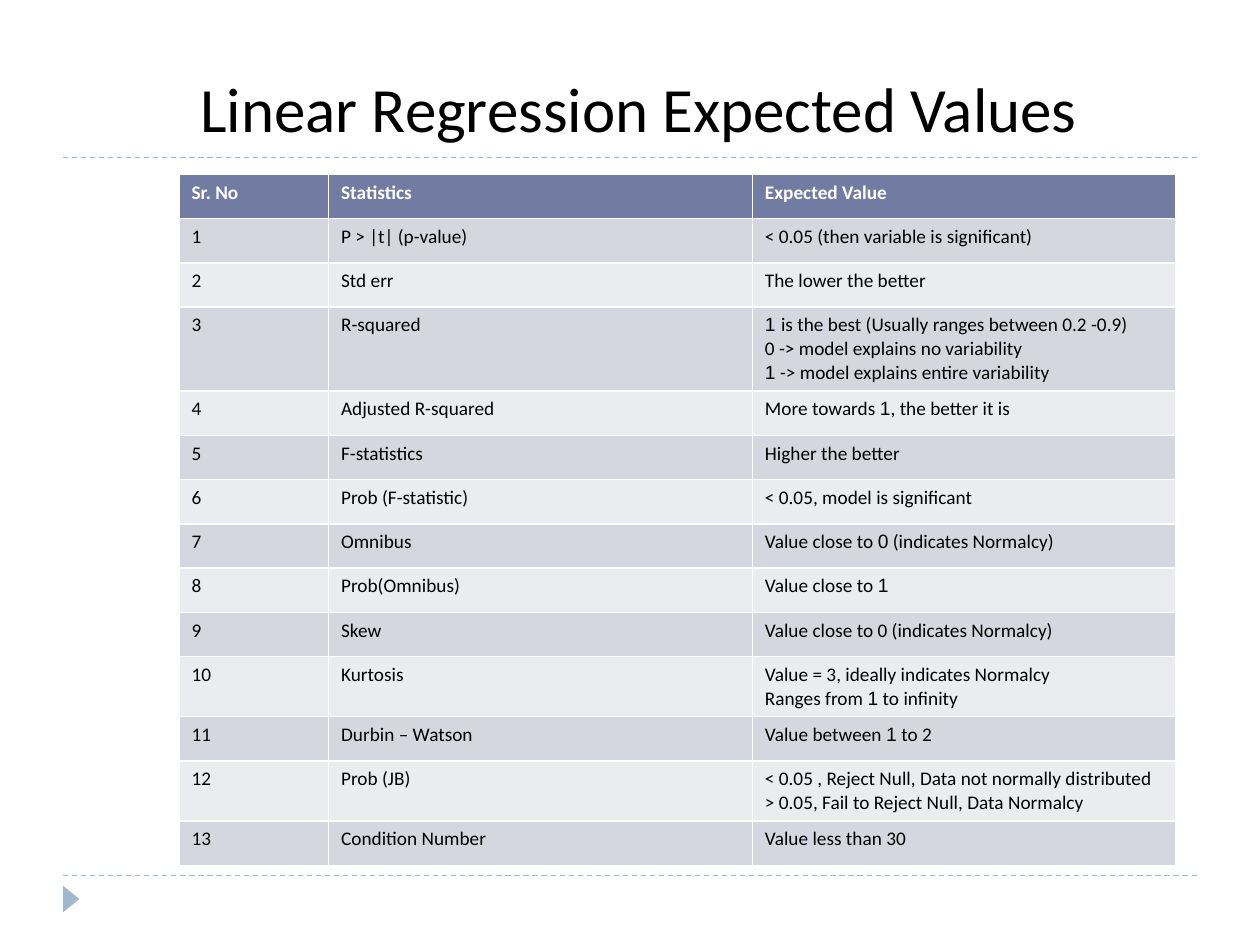
from lxml.etree import SubElement
from pptx import Presentation
from pptx.dml.color import RGBColor
from pptx.enum.dml import MSO_LINE
from pptx.enum.shapes import MSO_CONNECTOR, MSO_SHAPE
from pptx.enum.text import MSO_ANCHOR, PP_ALIGN
from pptx.oxml.ns import qn
from pptx.util import Inches, Pt

COLORS = {"rule": "9FB8CD", "header": "727CA3", "odd": "D5D7E0",
          "even": "EBECF0", "text": "000000", "light": "FFFFFF"}
WIDTH, HEIGHT = Inches(10), Inches(7.5)
ARIAL_MARK = "~"
HEADER = ("Sr. No", "Statistics", "Expected Value")
STATISTICS = [
    ("P > |t| (p-value)", ["< 0.05 (then variable is significant)"]),
    ("Std err", ["The lower the better"]),
    ("R-squared", ["~1 ~is the best (Usually ranges between 0.2 -0.9)",
                   "0 -> model explains no variability",
                   "~1~ -> model explains entire variability"]),
    ("Adjusted R-squared", ["More towards ~1~, the better it is"]),
    ("F-statistics", ["Higher the better"]),
    ("Prob (F-statistic)", ["< 0.05, model is significant"]),
    ("Omnibus", ["Value close to ~0~ (indicates Normalcy)"]),
    ("Prob(Omnibus)", ["Value close to ~1~"]),
    ("Skew", ["Value close to 0 (indicates Normalcy)"]),
    ("Kurtosis", ["Value = 3, ideally indicates Normalcy",
                  "Ranges from ~1~ to infinity"]),
    ("Durbin – Watson", ["Value between ~1~ to 2"]),
    ("Prob (JB)", ["< 0.05 , Reject Null, Data not normally distributed",
                   "> 0.05, Fail to Reject Null, Data Normalcy"]),
    ("Condition Number", ["Value less than 30"]),
]


def color(name):
    return RGBColor.from_string(COLORS[name])


def percent_box(left, top, width, height):
    return (int(WIDTH * left / 100), int(HEIGHT * top / 100),
            int(WIDTH * width / 100), int(HEIGHT * height / 100))


def add_run(p, text, size, color_name, font="Calibri", bold=False):
    r = p.add_run()
    r.text = text
    r.font.name, r.font.size, r.font.bold = font, Pt(size), bold
    r.font.color.rgb = color(color_name)


def add_rules(s, box):
    left, top, width, height = box
    for y in (top, top + height):
        rule = s.shapes.add_connector(MSO_CONNECTOR.STRAIGHT, left, y, left + width, y)
        rule.line.color.rgb = color("rule")
        rule.line.width = Pt(0.75)
        rule.line.dash_style = MSO_LINE.DASH
        SubElement(rule._element.spPr, qn("a:effectLst"))


def add_marker(s, box):
    sp = s.shapes.add_shape(MSO_SHAPE.ISOSCELES_TRIANGLE, *box)
    sp.rotation = 90
    sp.shadow.inherit = False
    sp.fill.solid()
    sp.fill.fore_color.rgb = color("rule")
    sp.line.fill.background()


def add_title(s, box, text):
    title = s.shapes.title
    title.left, title.top, title.width, title.height = box
    tf = title.text_frame
    tf.word_wrap = False
    tf.vertical_anchor = MSO_ANCHOR.MIDDLE
    p = tf.paragraphs[0]
    p.alignment = PP_ALIGN.CENTER
    add_run(p, text, 36, "text")


def fill_cell(cell, lines, fill, color_name, bold):
    cell.fill.solid()
    cell.fill.fore_color.rgb = color(fill)
    tf = cell.text_frame
    for i, line in enumerate(lines):
        p = tf.add_paragraph() if i else tf.paragraphs[0]
        for j, part in enumerate(line.split(ARIAL_MARK)):
            if part:
                add_run(p, part, 11, color_name, "Arial" if j % 2 else "Calibri", bold)


def add_statistics_table(s, box):
    rows = [[[name] for name in HEADER]]
    rows += [[[str(n)], [name], expected]
             for n, (name, expected) in enumerate(STATISTICS, 1)]
    table = s.shapes.add_table(len(rows), len(HEADER), *box).table
    for column, share in zip(table.columns, (0.15, 0.425, 0.425)):
        column.width = int(box[2] * share)
    for i, row in enumerate(rows):
        table.rows[i].height = box[3] // len(rows)
        fill = "header" if i == 0 else "odd" if i % 2 else "even"
        for j, lines in enumerate(row):
            fill_cell(table.cell(i, j), lines, fill, "text" if i else "light", i == 0)


def main():
    prs = Presentation()
    prs.slide_width, prs.slide_height = WIDTH, HEIGHT
    s = prs.slides.add_slide(prs.slide_layouts[5])
    add_rules(s, percent_box(5, 16.67, 90, 76))
    add_marker(s, percent_box(4.6, 94.27, 2.1, 1.73))
    add_title(s, percent_box(14.6, 6.67, 72.2, 9.47), "Linear Regression Expected Values")
    add_statistics_table(s, percent_box(14.2, 18.45, 79.15, 65.6))
    prs.save("out.pptx")


if __name__ == "__main__":
    main()
